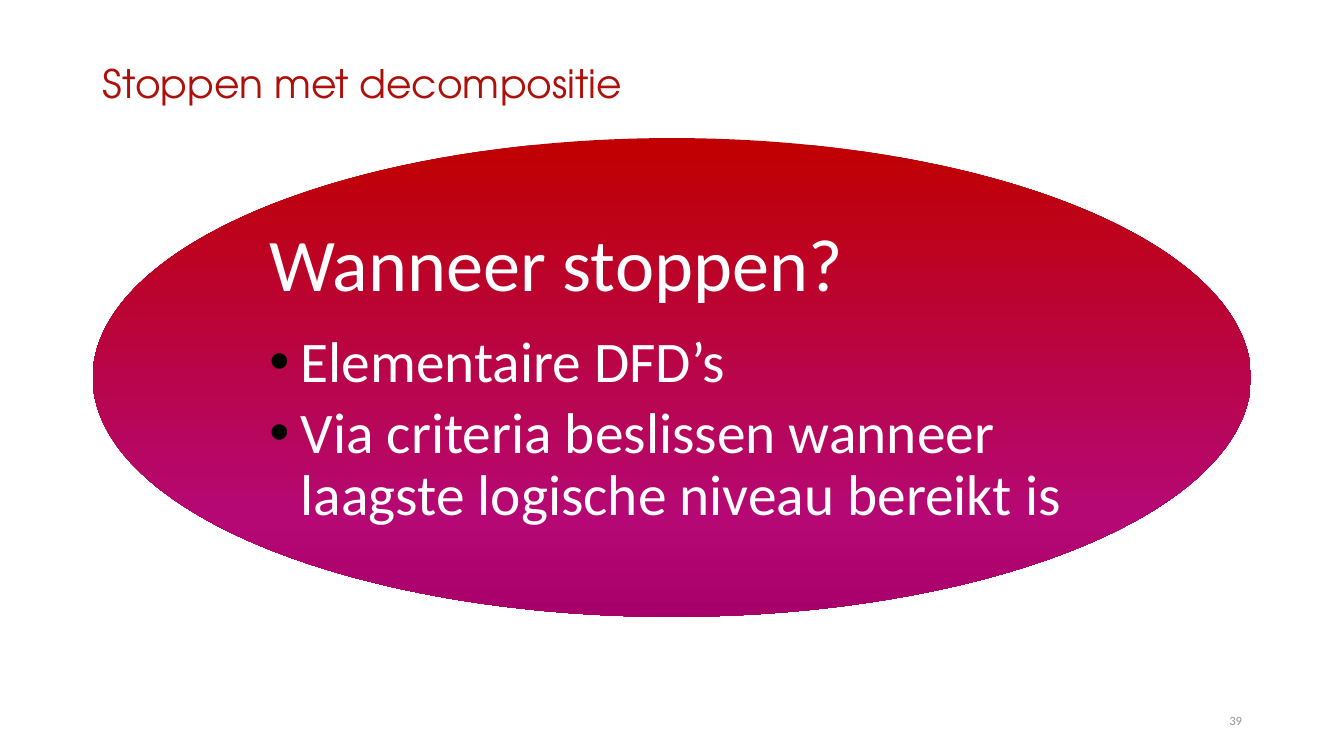
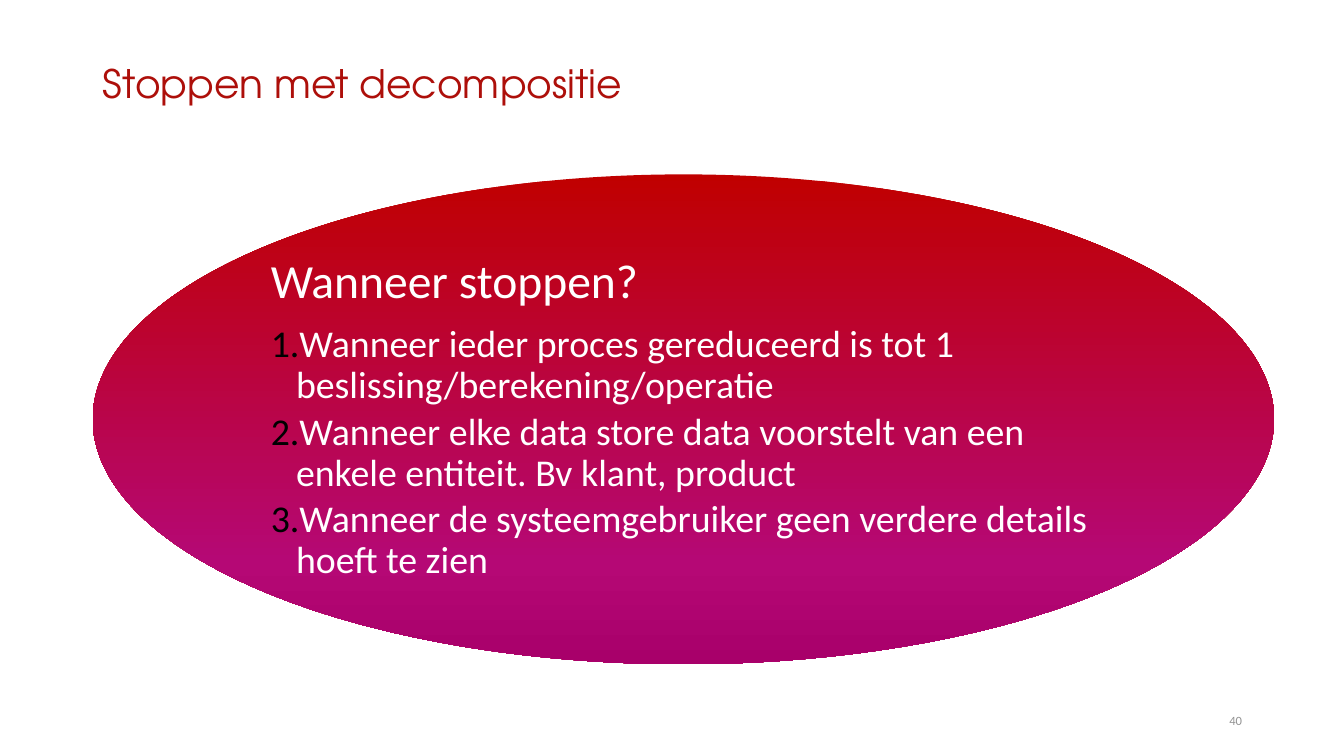
import copy
import dataclasses
import math

import lxml.etree
import pptx
import pptx.dml.color
import pptx.enum.shapes
import pptx.enum.text
import pptx.oxml.ns
import pptx.util

ANCHOR = pptx.enum.text.MSO_ANCHOR
ALIGN = pptx.enum.text.PP_ALIGN


@dataclasses.dataclass(frozen=True)
class Theme:
    title_font: str = "TeX Gyre Adventor"
    body_font: str = "Calibri"
    title_color: str = "AD0F0A"
    number_color: str = "939393"
    text_color: str = "FFFFFF"
    bullet_color: str = "000000"
    gradient: tuple = ((0, "C00000"), (0.79, "B50875"), (1, "A8006A"))
    title_size: int = 28
    number_size: int = 9
    line_spacing: float = 0.9
    heading_gap: float = 0.35
    item_gap: float = 0.15


# Boxes are left, top, width and height in percent of the slide.
TITLE_BOX = (6.9, 7.87, 86.25, 8.8)
NUMBER_BOX = (84.23, 92.67, 8.93, 5.33)

BULLET = ("a:buChar", {"char": "•"})
NUMBERED = ("a:buAutoNum", {"type": "arabicPeriod"})
NO_BULLET = ("a:buNone", {})

SLIDES = [
    {
        "number": 39,
        "ellipse_box": (6.9, 18.27, 86.18, 63.33),
        "items": ["Elementaire DFD’s",
                  "Via criteria beslissen wanneer laagste logische niveau bereikt is"],
        "bullet": BULLET,
        "heading_size": 53,
        "item_size": 41,
        "indent": 0.31,
        "inset": 0.07,
    },
    {
        "number": 40,
        "ellipse_box": (6.9, 23.07, 87.9, 64.8),
        "items": ["Wanneer ieder proces gereduceerd is tot 1 beslissing/berekening/operatie",
                  "Wanneer elke data store data voorstelt van een enkele entiteit. Bv klant, product",
                  "Wanneer de systeemgebruiker geen verdere details hoeft te zien"],
        "bullet": NUMBERED,
        "heading_size": 34,
        "item_size": 27,
        "indent": 0.25,
        "inset": 0.05,
    },
]


def apply_format(target, values):
    for name, value in values.items():
        setattr(target, name, value)


def inscribed_box(box):
    """Return the largest rectangle of the same proportions inside an ellipse."""
    left, top, width, height = box
    share = 1 / math.sqrt(2)
    margin = (1 - share) / 2
    return (left + width * margin, top + height * margin, width * share, height * share)


class Deck:
    def __init__(self, theme):
        self.theme = theme
        self.presentation = pptx.Presentation()
        apply_format(self.presentation, {"slide_width": pptx.util.Inches(13.33),
                                         "slide_height": pptx.util.Inches(7.5)})
        self.slide = None

    def add_slide(self):
        layout = self.presentation.slide_layouts.get_by_name("Title and Content")
        self.slide = self.presentation.slides.add_slide(layout)

    def measure(self, box):
        """Turn percent of the slide into lengths."""
        width, height = self.presentation.slide_width, self.presentation.slide_height
        return [round(share * side / 100)
                for share, side in zip(box, (width, height, width, height))]

    def place(self, shape, box, anchor, inset=None):
        apply_format(shape, dict(zip(("left", "top", "width", "height"), self.measure(box))))
        frame = shape.text_frame
        apply_format(frame, {"word_wrap": True, "vertical_anchor": anchor,
                             "auto_size": pptx.enum.text.MSO_AUTO_SIZE.NONE})
        if inset is not None:
            sides = ("margin_left", "margin_top", "margin_right", "margin_bottom")
            apply_format(frame, dict.fromkeys(sides, pptx.util.Inches(inset)))
        return frame

    def add_text(self, paragraph, text, font, size, color, **layout):
        apply_format(paragraph, {"space_before": pptx.util.Pt(0), **layout})
        run = paragraph.add_run()
        run.text = text
        apply_format(run.font, {"name": font, "size": pptx.util.Pt(size)})
        run.font.color.rgb = pptx.dml.color.RGBColor.from_string(color)

    def set_bullet(self, paragraph, bullet, indent=0):
        tag, attributes = bullet
        properties = paragraph._p.get_or_add_pPr()
        length = pptx.util.Inches(indent)
        properties.set("marL", str(length))
        properties.set("indent", str(-length))
        qn = pptx.oxml.ns.qn
        color = lxml.etree.SubElement(properties, qn("a:buClr"))
        lxml.etree.SubElement(color, qn("a:srgbClr"), val=self.theme.bullet_color)
        lxml.etree.SubElement(properties, qn(tag), attributes)

    def add_title(self, text):
        frame = self.place(self.slide.shapes.title, TITLE_BOX, ANCHOR.TOP)
        self.add_text(frame.paragraphs[0], text, self.theme.title_font, self.theme.title_size,
                      self.theme.title_color, alignment=ALIGN.LEFT,
                      line_spacing=self.theme.line_spacing)

    def add_number(self, number):
        box = self.slide.shapes.add_textbox(*self.measure(NUMBER_BOX))
        frame = self.place(box, NUMBER_BOX, ANCHOR.MIDDLE)
        self.add_text(frame.paragraphs[0], str(number), self.theme.body_font,
                      self.theme.number_size, self.theme.number_color, alignment=ALIGN.RIGHT)

    def add_ellipse(self, box):
        shapes = self.slide.shapes
        ellipse = shapes.add_shape(pptx.enum.shapes.MSO_SHAPE.OVAL, *self.measure(box))
        ellipse.shadow.inherit = False
        ellipse.line.fill.background()
        ellipse.fill.gradient()
        ellipse.fill.gradient_angle = 270
        stop_list = ellipse.element.spPr.find(".//" + pptx.oxml.ns.qn("a:gsLst"))
        stop_list.append(copy.deepcopy(stop_list[-1]))
        for stop, (position, color) in zip(ellipse.fill.gradient_stops, self.theme.gradient):
            stop.position = position
            stop.color.rgb = pptx.dml.color.RGBColor.from_string(color)
        # The ellipse lies behind the body placeholder.
        shapes.title.element.addprevious(ellipse.element)

    def add_list(self, box, heading, items, bullet, heading_size, item_size, indent, inset):
        theme = self.theme
        frame = self.place(self.slide.placeholders[1], box, ANCHOR.MIDDLE, inset)
        rows = [(heading, 0, heading_size, theme.heading_gap, NO_BULLET, 0)]
        rows += [(item, 1, item_size, theme.item_gap, bullet, indent) for item in items]
        for index, (text, level, size, gap, mark, hang) in enumerate(rows):
            paragraph = frame.add_paragraph() if index else frame.paragraphs[0]
            self.set_bullet(paragraph, mark, hang)
            self.add_text(paragraph, text, theme.body_font, size, theme.text_color,
                          level=level, alignment=ALIGN.LEFT, line_spacing=theme.line_spacing,
                          space_after=pptx.util.Pt(round(size * gap, 1)))


def main():
    deck = Deck(Theme())
    for content in SLIDES:
        values = dict(content)
        number, ellipse_box = values.pop("number"), values.pop("ellipse_box")
        deck.add_slide()
        deck.add_title("Stoppen met decompositie")
        deck.add_ellipse(ellipse_box)
        deck.add_list(inscribed_box(ellipse_box), "Wanneer stoppen?", **values)
        deck.add_number(number)
    deck.presentation.save("out.pptx")


if __name__ == "__main__":
    main()
